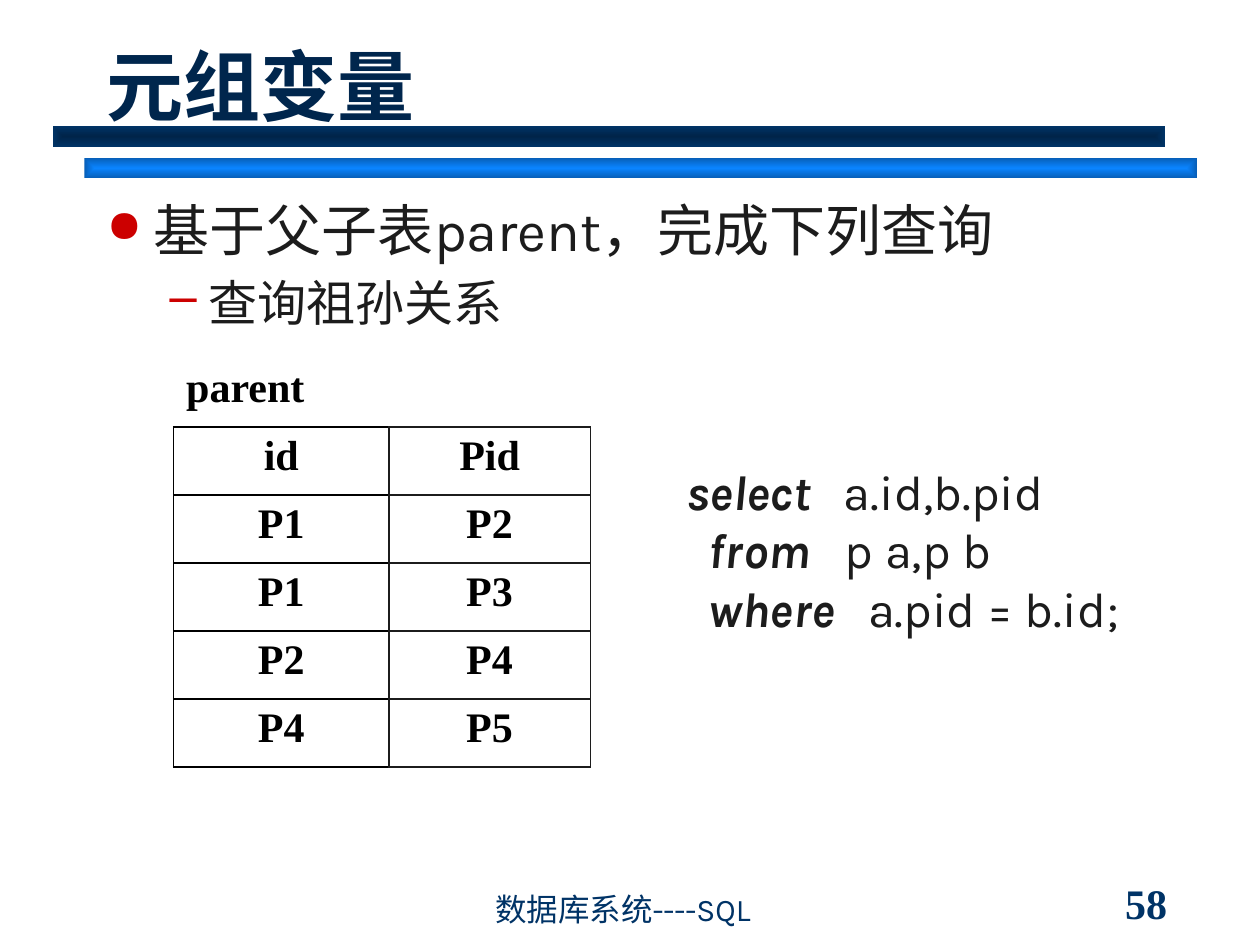
from dataclasses import dataclass

from lxml.etree import SubElement
from pptx import Presentation
from pptx.dml.color import RGBColor
from pptx.enum.shapes import MSO_SHAPE
from pptx.enum.text import MSO_ANCHOR, PP_ALIGN
from pptx.oxml import parse_xml
from pptx.oxml.ns import nsdecls, qn
from pptx.util import Cm, Pt


@dataclass(frozen=True)
class Theme:
    navy: str = "003366"
    deep_navy: str = "002449"
    title: str = "00264D"
    blue: str = "0A84FF"
    dark_blue: str = "075EB6"
    ink: str = "1C1C1C"
    black: str = "000000"
    bullet: str = "CC0000"
    sans: str = "Karla"
    serif: str = "Times New Roman"
    title_size: int = 44
    body_size: int = 32
    sub_size: int = 28
    table_size: int = 24
    footer_size: int = 18


THEME = Theme()


def style(r, size, color, font=THEME.sans, bold=False, italic=False):
    r.font.size, r.font.name = Pt(size), font
    r.font.bold, r.font.italic = bold, italic
    r.font.color.rgb = RGBColor.from_string(color)


def add_text(slide, box, text="", anchor=MSO_ANCHOR.TOP, **font):
    sp = slide.shapes.add_textbox(*(Cm(v) for v in box))
    tf = sp.text_frame
    tf.word_wrap = True
    tf.vertical_anchor = anchor
    if text:
        tf.text = text
        style(tf.paragraphs[0].runs[0], **font)
    return tf


def add_bar(slide, box, center, edge):
    sp = slide.shapes.add_shape(MSO_SHAPE.RECTANGLE, *(Cm(v) for v in box))
    sp.shadow.inherit = False
    sp.line.fill.background()
    grad = parse_xml(
        f'<a:gradFill {nsdecls("a")} rotWithShape="1"><a:gsLst>'
        f'<a:gs pos="0"><a:srgbClr val="{center}"/></a:gs>'
        f'<a:gs pos="100000"><a:srgbClr val="{edge}"/></a:gs></a:gsLst>'
        '<a:path path="shape"><a:fillToRect l="50000" t="50000" r="50000" b="50000"/>'
        '</a:path></a:gradFill>')
    sp._element.spPr.find(qn("a:prstGeom")).addnext(grad)


def add_header(slide, box, text):
    left, top, width, height = box
    # Two offset bars under the title
    add_bar(slide, (left + 0.64, top + 2.75, width, 0.42), THEME.blue, THEME.dark_blue)
    add_bar(slide, (left, top + 2.11, width, 0.42), THEME.deep_navy, THEME.navy)
    add_text(slide, (left + 0.84, top, width - 0.84, height), text, MSO_ANCHOR.BOTTOM,
             size=THEME.title_size, color=THEME.title, bold=True)


def add_bullets(slide, box, items):
    tf = add_text(slide, box)
    for i, (text, size, char, scale, margin, hanging) in enumerate(items):
        p = tf.add_paragraph() if i else tf.paragraphs[0]
        p.text = text
        pPr = p._p.get_or_add_pPr()
        pPr.set("marL", str(Cm(margin)))
        pPr.set("indent", str(-Cm(hanging)))
        color = SubElement(pPr, qn("a:buClr"))
        SubElement(color, qn("a:srgbClr"), val=THEME.bullet)
        SubElement(pPr, qn("a:buSzPct"), val=str(scale * 1000))
        SubElement(pPr, qn("a:buChar"), char=char)
        p.alignment = PP_ALIGN.JUSTIFY
        if i:
            p.space_before = Pt(size * 0.2)
        style(p.runs[0], size, THEME.ink)


def set_borders(cell, color, visible):
    tcPr = cell._tc.get_or_add_tcPr()
    for side in "LRTB":
        ln = SubElement(tcPr, qn(f"a:ln{side}"), w=str(Pt(1)))
        if side in visible:
            fill = SubElement(ln, qn("a:solidFill"))
            SubElement(fill, qn("a:srgbClr"), val=color)
        else:
            SubElement(ln, qn("a:noFill"))


def add_parent_table(slide, box, rows, col_widths):
    frame = slide.shapes.add_table(len(rows), len(col_widths), *(Cm(v) for v in box))
    table = frame.table
    table.first_row = table.horz_banding = False
    for col, width in zip(table.columns, col_widths):
        col.width = Cm(width)
    for i, values in enumerate(rows):
        table.rows[i].height = Cm(box[3] / len(rows))
        for j, value in enumerate(values):
            cell = table.cell(i, j)
            # The first row holds only the table name, above the grid
            set_borders(cell, THEME.ink if j else THEME.black, "LRTB" if i else "B")
            cell.fill.background()
            p = cell.text_frame.paragraphs[0]
            p.text = value
            p.alignment = PP_ALIGN.CENTER if i else PP_ALIGN.LEFT
            for r in p.runs:
                style(r, THEME.table_size, THEME.black, THEME.serif, bold=True)


def add_query(slide, box, lines):
    tf = add_text(slide, box)
    for i, (keyword, rest) in enumerate(lines):
        p = tf.add_paragraph() if i else tf.paragraphs[0]
        for text, strong in ((keyword, True), (rest, False)):
            r = p.add_run()
            r.text = text
            style(r, THEME.sub_size, THEME.ink, bold=strong, italic=strong)


def add_footer(slide, box, text, number):
    left, top, width, height = box
    add_text(slide, (left + 12.7, top, width - 12.7, height), number, MSO_ANCHOR.MIDDLE,
             size=THEME.table_size, color=THEME.navy, font=THEME.serif, bold=True)
    add_text(slide, (left, top + 0.2, 10.36, height), text, MSO_ANCHOR.BOTTOM,
             size=THEME.footer_size, color=THEME.navy)


def main():
    prs = Presentation()
    prs.slide_width, prs.slide_height = Cm(25.4), Cm(19.05)
    slide = prs.slides.add_slide(prs.slide_layouts[6])

    add_header(slide, (1.06, 0.43, 22.43, 2.34), "元组变量")
    add_footer(slide, (9.73, 17.78, 15.44, 0.84), "数据库系统----SQL", "58")
    add_bullets(slide, (1.9, 3.81, 19.2, 4.32), [
        ("基于父子表parent，完成下列查询", THEME.body_size, "●", 80, 0.95, 0.95),
        ("查询祖孙关系", THEME.sub_size, "–", 100, 2.06, 0.79),
    ])
    add_parent_table(slide, (3.5, 7.24, 8.4, 8.22), [
        ("parent", ""), ("id", "Pid"),
        ("P1", "P2"), ("P1", "P3"), ("P2", "P4"), ("P4", "P5"),
    ], (4.34, 4.06))
    add_query(slide, (13.59, 9.17, 11.13, 3.84), [
        ("select   ", "a.id,b.pid"),
        ("  from", "   p a,p b"),
        ("  where   ", "a.pid = b.id;"),
    ])
    prs.save("out.pptx")


if __name__ == "__main__":
    main()
